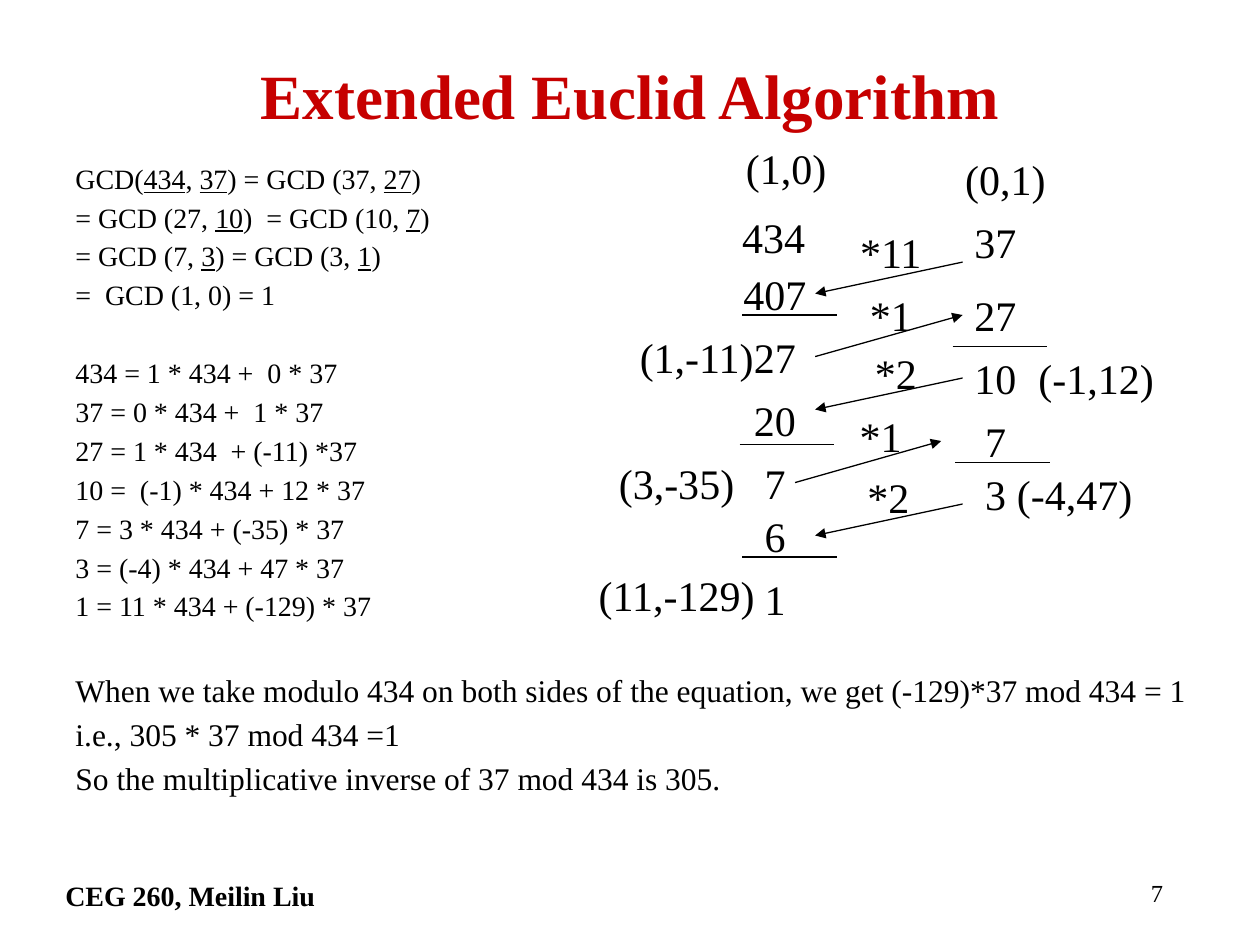
from lxml import etree
from pptx import Presentation, util as u
from pptx.dml.color import RGBColor
from pptx.enum import shapes, text
from pptx.oxml.ns import qn

BLACK = RGBColor(0x00, 0x00, 0x00)
RED = RGBColor(0xC6, 0x00, 0x00)
FONT = "Times New Roman"
LEFT, CENTER, RIGHT = text.PP_ALIGN.LEFT, text.PP_ALIGN.CENTER, text.PP_ALIGN.RIGHT

# Content: underlined parts stand between underscores
TITLE = "Extended Euclid Algorithm"
BLOCKS = [  # size, space before, space before the block's first line, lines
    (16, 4, 0, ["GCD(_434_, _37_) = GCD (37, _27_)",
                "= GCD (27, _10_)  = GCD (10, _7_)",
                "= GCD (7, _3_) = GCD (3, _1_)",
                "=  GCD (1, 0) = 1"]),
    (16, 4, 26.2, ["434 = 1 * 434 +  0 * 37",
                   "37 = 0 * 434 +  1 * 37",
                   "27 = 1 * 434  + (-11) *37",
                   "10 =  (-1) * 434 + 12 * 37",
                   "7 = 3 * 434 + (-35) * 37",
                   "3 = (-4) * 434 + 47 * 37",
                   "1 = 11 * 434 + (-129) * 37"]),
    (18, 4.5, 29, ["When we take modulo 434 on both sides of the equation, "
                   "we get (-129)*37 mod 434 = 1",
                   "i.e., 305 * 37 mod 434 =1",
                   "So the multiplicative inverse of 37 mod 434 is 305."]),
]
FOOTERS = [("CEG 260, Meilin Liu", 0.42, 6.33, 16, True, LEFT),
           ("7", 7.25, 2.08, 14, False, RIGHT)]

# Division ladder: column centre -> (text, top, shift from the centre)
LADDER = {
    6.15: [("(1,0)", 1.08, 0.09), ("434", 1.63, -0.01), ("407", 2.08, 0), ("27", 2.58, 0),
           ("20", 3.08, 0), ("7", 3.58, 0), ("6", 4, 0), ("1", 4.5, 0)],
    7.9: [("(0,1)", 1.17, 0.08), ("37", 1.67, 0), ("27", 2.25, 0), ("10", 2.75, 0),
          ("7", 3.25, 0), ("3", 3.67, 0)],
    7.07: [("*11", 1.75, 0), ("*1", 2.25, 0), ("*2", 2.71, 0.04), ("*1", 3.21, -0.08),
           ("*2", 3.69, -0.02)],
    5.37: [("(1,-11)", 2.58, 0.16), ("(3,-35)", 3.58, 0), ("(11,-129)", 4.47, 0)],
    8.53: [("(-1,12)", 2.75, 0.17), ("(-4,47)", 3.67, 0)],
}
BOX_WIDTHS = {1: 0.36, 2: 0.53, 3: 0.7, 5: 0.84, 7: 1.16, 9: 1.48}  # by text length
RULE_WIDTH = 0.75
RULES = [(5.89, 2.5), (7.56, 2.75), (5.87, 3.53), (7.58, 3.67), (5.89, 4.42)]
ARROWS = [(7.64, 2.08, 6.47, 2.33), (6.47, 2.83, 7.64, 2.5), (7.64, 3, 6.47, 3.25),
          (6.31, 3.83, 7.47, 3.5), (7.64, 4, 6.47, 4.25)]


def write(p, words, size, color=BLACK, bold=False, align=LEFT):
    p.alignment = align
    for i, part in enumerate(words.split("_")):
        if part:
            r = p.add_run()
            r.text = part
            style = dict(name=FONT, size=u.Pt(size), bold=bold, underline=i % 2 == 1)
            for key, value in style.items():
                setattr(r.font, key, value)
            r.font.color.rgb = color


def add_box(parent, x, y, w, h, wrap=True):
    tf = parent.add_textbox(*map(u.Inches, (x, y, w, h))).text_frame
    tf.word_wrap = wrap
    return tf


def add_line(parent, x1, y1, x2, y2, arrow=False):
    line = parent.add_connector(shapes.MSO_CONNECTOR.STRAIGHT,
                                *map(u.Inches, (x1, y1, x2, y2)))
    line.line.color.rgb = BLACK
    line.line.width = u.Pt(0.75)
    if arrow:
        ln = line.line._get_or_add_ln()
        etree.SubElement(ln, qn("a:tailEnd"), type="triangle")
    etree.SubElement(line._element.spPr, qn("a:effectLst"))


prs = Presentation()
prs.slide_width, prs.slide_height = u.Inches(10), u.Inches(7.5)
s = prs.slides.add_slide(prs.slide_layouts[5])

# Title
title = s.shapes.title
place = dict(left=0.75, top=0.33, width=8.5, height=0.83)
for key, value in place.items():
    setattr(title, key, u.Inches(value))
title.text_frame.vertical_anchor = text.MSO_ANCHOR.MIDDLE
write(title.text_frame.paragraphs[0], TITLE, 36, RED, True, CENTER)

# Worked equations, with a hanging indent
tf = add_box(s.shapes, 0.5, 1.25, 9.42, 5.17)
p = tf.paragraphs[0]
for size, gap, first_gap, lines in BLOCKS:
    for i, words in enumerate(lines):
        if p is None:
            p = tf.add_paragraph()
        pPr = p._p.get_or_add_pPr()
        pPr.set("marL", str(u.Inches(0.38)))
        pPr.set("indent", str(-u.Inches(0.38)))
        p.line_spacing = 0.95
        p.space_before = u.Pt(gap if i else first_gap)
        write(p, words, size)
        p = None

# Division ladder
ladder = s.shapes.add_group_shape().shapes
for center, entries in LADDER.items():
    for words, top, shift in entries:
        w = BOX_WIDTHS[len(words)]
        tf = add_box(ladder, center + shift - w / 2, top, w, 0.5, wrap=False)
        tf.auto_size = text.MSO_AUTO_SIZE.SHAPE_TO_FIT_TEXT
        write(tf.paragraphs[0], words, 24, align=CENTER)
for x, y in RULES:
    add_line(ladder, x, y, x + RULE_WIDTH, y)
for ends in ARROWS:
    add_line(ladder, *ends, arrow=True)

# Footer and page number
for words, x, w, size, bold, align in FOOTERS:
    tf = add_box(s.shapes, x, 6.92, w, 0.42)
    write(tf.paragraphs[0], words, size, bold=bold, align=align)

prs.save("out.pptx")
